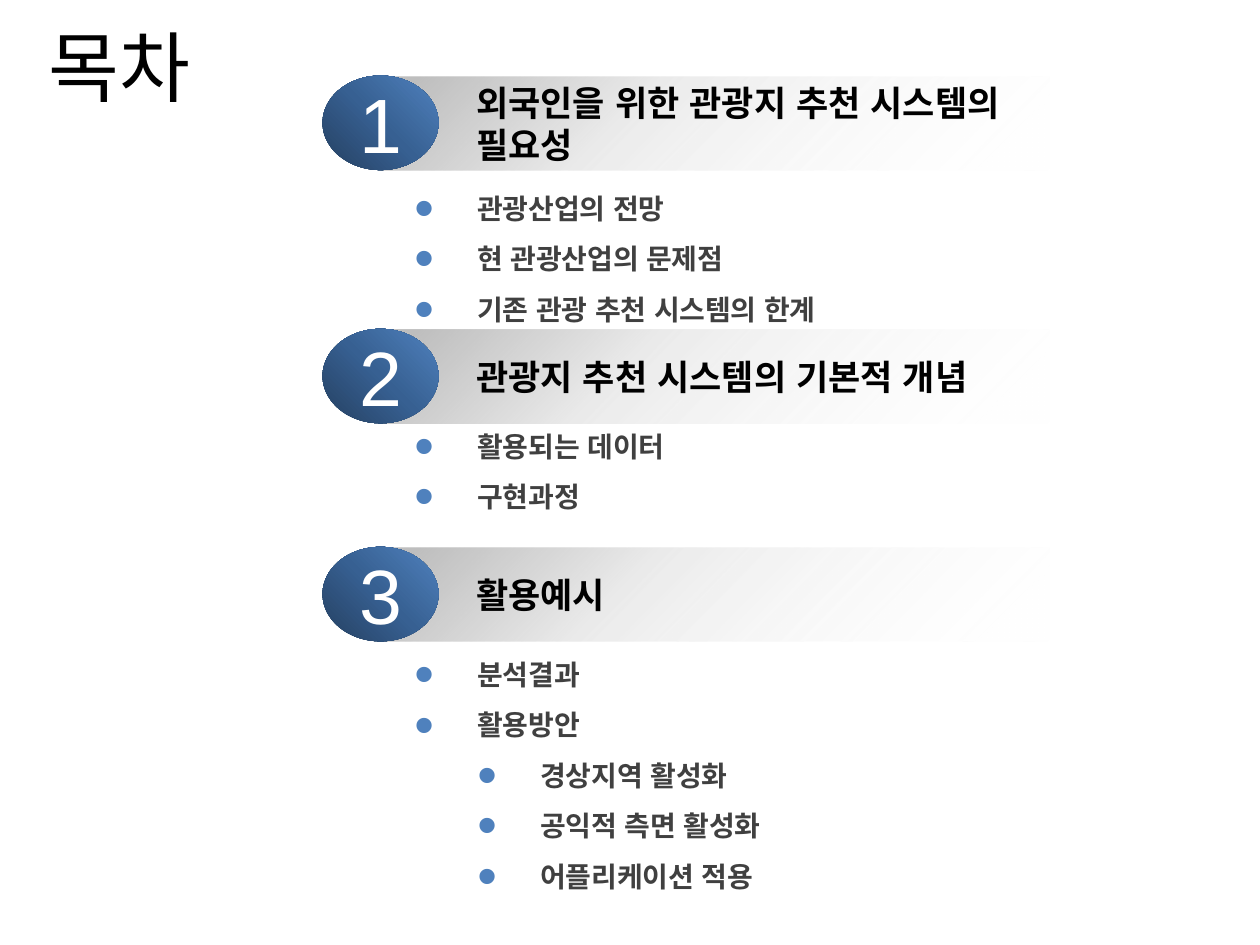
from lxml.etree import SubElement
from pptx import Presentation
from pptx.dml.color import RGBColor
from pptx.enum.shapes import MSO_SHAPE
from pptx.enum.text import MSO_ANCHOR, PP_ALIGN
from pptx.oxml.ns import qn
from pptx.util import Inches, Pt

BAND_STOPS = [(5, "BFBFBF", 100), (37, "BFBFBF", 31), (100, "FFFFFF", 0)]
BADGE_STOPS = [(0, "254061", 100), (50, "376092", 100), (100, "4F81BD", 100)]

# Top of the band, heading, heading height, top and height of the list, (level, item)
SECTIONS = [
    (0.6, "외국인을 위한 관광지 추천 시스템의 필요성", 0.77, 1.39, 0.79,
     [(0, "관광산업의 전망"), (0, "현 관광산업의 문제점"),
      (0, "기존 관광 추천 시스템의 한계")]),
    (2.61, "관광지 추천 시스템의 기본적 개념", 0.44, 3.28, 1.18,
     [(0, "활용되는 데이터"), (0, "구현과정")]),
    (4.34, "활용예시", 0.44, 5.09, 0.79,
     [(0, "분석결과"), (0, "활용방안"), (1, "경상지역 활성화"),
      (1, "공익적 측면 활성화"), (1, "어플리케이션 적용")]),
]


def color(value):
    return RGBColor.from_string(value)


def fill_gradient(shape, stops, angle):
    """Fill with (position, colour, opacity) stops; the angle runs clockwise."""
    shape.fill.gradient()
    gradient = shape._element.spPr.find(qn("a:gradFill"))
    for child in list(gradient):
        gradient.remove(child)
    stop_list = SubElement(gradient, qn("a:gsLst"))
    for position, value, opacity in stops:
        stop = SubElement(stop_list, qn("a:gs"), pos=str(position * 1000))
        stop_color = SubElement(stop, qn("a:srgbClr"), val=value)
        if opacity < 100:
            SubElement(stop_color, qn("a:alpha"), val=str(opacity * 1000))
    SubElement(gradient, qn("a:lin"), ang=str(angle * 60000), scaled="0")


def add_bullet(paragraph, level, value):
    properties = paragraph._p.get_or_add_pPr()
    properties.set("marL", str(Inches(0.5 * (level + 1))))
    properties.set("indent", str(Inches(-0.5)))
    bullet_color = SubElement(properties, qn("a:buClr"))
    SubElement(bullet_color, qn("a:srgbClr"), val=value)
    SubElement(properties, qn("a:buSzPct"), val="200000")
    SubElement(properties, qn("a:buFont"), typeface="Arial")
    SubElement(properties, qn("a:buChar"), char="•")


class AgendaSlide:
    font = "Arial"
    title_font = "Noto Sans CJK KR"
    accent = "4F81BD"

    def __init__(self, presentation):
        self.slide = presentation.slides.add_slide(presentation.slide_layouts[6])

    def format_runs(self, paragraph, size, value, bold=False, font=None):
        for run in paragraph.runs:
            run.font.size = Pt(size)
            run.font.bold = bold
            run.font.color.rgb = color(value)
            run.font.name = font or self.font
            SubElement(run.font._element, qn("a:ea"), typeface=font or self.font)

    def text_box(self, shapes, left, top, width, height, anchor=MSO_ANCHOR.MIDDLE):
        box = shapes.add_textbox(Inches(left), Inches(top), Inches(width), Inches(height))
        box.text_frame.word_wrap = True
        box.text_frame.vertical_anchor = anchor
        return box.text_frame

    def gradient_shape(self, shapes, kind, left, top, width, height, stops, angle):
        shape = shapes.add_shape(
            kind, Inches(left), Inches(top), Inches(width), Inches(height))
        shape.shadow.inherit = False
        shape.line.fill.background()
        fill_gradient(shape, stops, angle)
        return shape

    def title(self, text):
        frame = self.text_box(self.slide.shapes, -0.2, 0.13, 2.3, 0.78)
        frame.text = text
        frame.paragraphs[0].alignment = PP_ALIGN.CENTER
        self.format_runs(frame.paragraphs[0], 44, "000000", font=self.title_font)

    def section_header(self, number, heading, top, heading_height):
        shapes = self.slide.shapes.add_group_shape().shapes
        self.gradient_shape(
            shapes, MSO_SHAPE.RECTANGLE, 3.03, top + 0.01, 5.3, 0.74, BAND_STOPS, 45)

        heading_top = top + (0.76 - heading_height) / 2
        frame = self.text_box(shapes, 3.68, heading_top, 4.7, heading_height)
        frame.text = heading
        self.format_runs(frame.paragraphs[0], 20, "000000", bold=True)

        badge = self.gradient_shape(
            shapes, MSO_SHAPE.OVAL, 2.56, top, 0.92, 0.75, BADGE_STOPS, 315)
        frame = badge.text_frame
        frame.word_wrap = False
        frame.vertical_anchor = MSO_ANCHOR.MIDDLE
        frame.margin_left = frame.margin_right = Inches(0.08)
        frame.margin_top = frame.margin_bottom = Inches(0.1)
        frame.text = str(number)
        frame.paragraphs[0].alignment = PP_ALIGN.CENTER
        self.format_runs(frame.paragraphs[0], 44, "FFFFFF")

    def bullet_list(self, items, top, height):
        frame = self.text_box(
            self.slide.shapes, 3.19, top, 3.72, height, MSO_ANCHOR.TOP)
        for index, (level, item) in enumerate(items):
            paragraph = frame.add_paragraph() if index else frame.paragraphs[0]
            paragraph.text = item
            paragraph.level = level
            add_bullet(paragraph, level, self.accent)
            paragraph.line_spacing = 1.3
            if index:
                paragraph.space_before = Pt(3.84)
            self.format_runs(paragraph, 16, "404040", bold=True)


def main():
    presentation = Presentation()
    presentation.slide_width = Inches(10)
    presentation.slide_height = Inches(7.5)
    agenda = AgendaSlide(presentation)
    agenda.title("목차")
    for number, section in enumerate(SECTIONS, start=1):
        top, heading, heading_height, list_top, list_height, items = section
        agenda.section_header(number, heading, top, heading_height)
        agenda.bullet_list(items, list_top, list_height)
    presentation.save("out.pptx")


if __name__ == "__main__":
    main()
